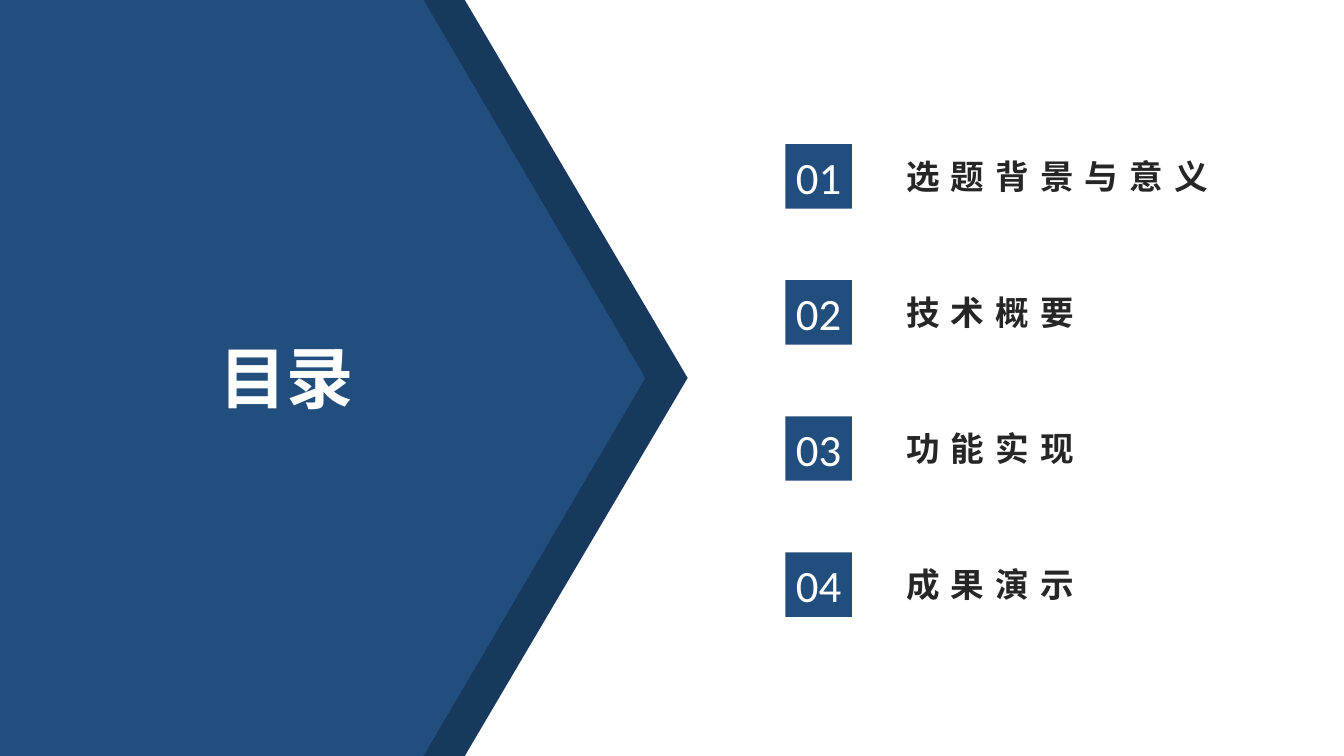
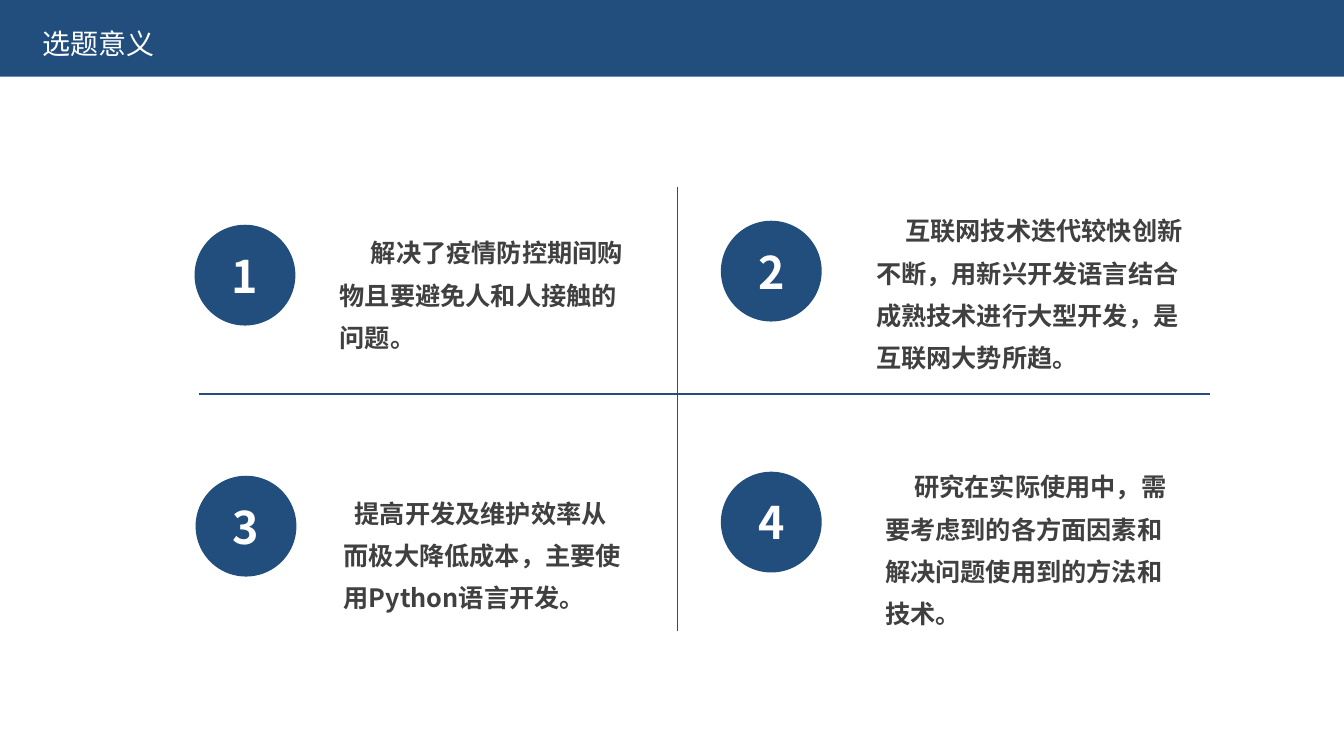
import pptx
import pptx.util
import pptx.dml.color
import pptx.enum.shapes
import pptx.enum.text
import pptx.oxml.ns
from lxml import etree

Inches, Pt = pptx.util.Inches, pptx.util.Pt
SHAPE = pptx.enum.shapes.MSO_SHAPE
ALIGN = pptx.enum.text.PP_ALIGN
ANCHOR = pptx.enum.text.MSO_ANCHOR
qn = pptx.oxml.ns.qn

BLUE, NAVY, WHITE = "214E7D", "18395E", "FFFFFF"
HEADING, BODY = "262626", "404040"
CJK, LATIN = "Noto Sans CJK SC", "Calibri"

CONTENTS = ["选题背景与意义", "技术概要", "功能实现", "成果演示"]

# circle left and top, text box, first-line indent, text
POINTS = [
    (1.93, 2.23, (3.27, 2.19, 3.09, 1.37), 0.31,
     "解决了疫情防控期间购物且要避免人和人接触的问题。"),
    (7.15, 2.19, (8.59, 1.97, 3.31, 1.79), 0.29,
     "互联网技术迭代较快创新不断，用新兴开发语言结合成熟技术进行大型开发，是互联网大势所趋。"),
    (1.94, 4.72, (3.31, 4.77, 3.01, 1.37), 0.11,
     "提高开发及维护效率从而极大降低成本，主要使用Python语言开发。"),
    (7.15, 4.68, (8.68, 4.51, 3.11, 1.79), 0.29,
     "研究在实际使用中，需要考虑到的各方面因素和解决问题使用到的方法和技术。"),
]


def rgb(color):
    return pptx.dml.color.RGBColor.from_string(color)


def inches(*lengths):
    return [Inches(n) for n in lengths]


def write(sp, text, size, color, bold=False, font=CJK, align=ALIGN.LEFT,
          tracking=0, indent=0):
    """Fill the shape with one styled paragraph and return it."""
    sp.text_frame.text = text
    p = sp.text_frame.paragraphs[0]
    p.alignment = align
    p.font.size = Pt(size)
    p.font.bold = bold
    p.font.color.rgb = rgb(color)
    p.font.name = font
    pPr = p._p.get_or_add_pPr()
    if indent:
        pPr.set("indent", str(Inches(indent)))
    rPr = pPr.find(qn("a:defRPr"))
    etree.SubElement(rPr, qn("a:ea")).set("typeface", font)
    if tracking:
        rPr.set("spc", str(round(tracking * 100)))
    return p


def add_block(s, kind, at, color):
    sp = s.shapes.add_shape(kind, *inches(*at))
    sp.shadow.inherit = False
    sp.fill.solid()
    sp.fill.fore_color.rgb = rgb(color)
    sp.line.fill.background()
    return sp


def add_badge(s, kind, at, text, **style):
    """Blue shape with a centred white number."""
    sp = add_block(s, kind, at, BLUE)
    tf = sp.text_frame
    tf.word_wrap = False
    tf.vertical_anchor = ANCHOR.MIDDLE
    tf.margin_left = tf.margin_right = 0
    write(sp, text, 32, WHITE, align=ALIGN.CENTER, **style)


def add_arrow(s, width, slope, color):
    """Full-height panel whose right side narrows to a point."""
    sp = add_block(s, SHAPE.PENTAGON, (0, 0, width, 7.5), color)
    sp.adjustments[0] = slope / width


def add_text(s, at, text, size, color, **style):
    sp = s.shapes.add_textbox(*inches(*at))
    sp.text_frame.word_wrap = True
    return write(sp, text, size, color, **style)


def add_rule(s, x1, y1, x2, y2):
    line = s.shapes.add_connector(
        pptx.enum.shapes.MSO_CONNECTOR.STRAIGHT, *inches(x1, y1, x2, y2))
    line.line.color.rgb = rgb(BLUE)
    line.line.width = Pt(1)
    etree.SubElement(line.element.spPr, qn("a:effectLst"))


def set_title(s, at, text, size, bold=False):
    """Format the title placeholder and bring it in front of the panels."""
    sp = s.shapes.title
    sp.left, sp.top, sp.width, sp.height = inches(*at)
    tf = sp.text_frame
    tf.word_wrap = True
    tf.auto_size = pptx.enum.text.MSO_AUTO_SIZE.NONE
    tf.vertical_anchor = ANCHOR.TOP
    write(sp, text, size, WHITE, bold=bold)
    sp.element.getparent().append(sp.element)


def build_contents(s):
    add_arrow(s, 6.82, 2.21, NAVY)
    add_arrow(s, 6.4, 2.2, BLUE)
    set_title(s, (2.08, 3.29, 1.68, 0.91), "目录", 48, bold=True)
    for i, heading in enumerate(CONTENTS):
        top = 1.43 + 1.35 * i
        add_badge(s, SHAPE.RECTANGLE, (7.79, top, 0.66, 0.64),
                  f"{i + 1:02}", font=LATIN)
        add_text(s, (8.89, top + 0.07, 3.45, 0.5), heading, 24, HEADING,
                 bold=True, tracking=7.9)


def build_significance(s):
    add_block(s, SHAPE.RECTANGLE, (0, 0, 13.33, 0.76), BLUE)
    set_title(s, (0.32, 0.21, 1.5, 0.44), "选题意义", 20)
    add_rule(s, 1.97, 3.91, 12, 3.91)
    add_rule(s, 6.72, 1.86, 6.72, 6.26)
    for number, (left, top, box, indent, text) in enumerate(POINTS, 1):
        add_badge(s, SHAPE.OVAL, (left, top, 1, 1), str(number), bold=True)
        p = add_text(s, box, text, 18, BODY, bold=True, indent=indent)
        p.line_spacing = 1.4


def main():
    prs = pptx.Presentation()
    prs.slide_width, prs.slide_height = inches(13.33, 7.5)
    title_only = prs.slide_layouts[5]
    for build in (build_contents, build_significance):
        build(prs.slides.add_slide(title_only))
    prs.save("out.pptx")


if __name__ == "__main__":
    main()
